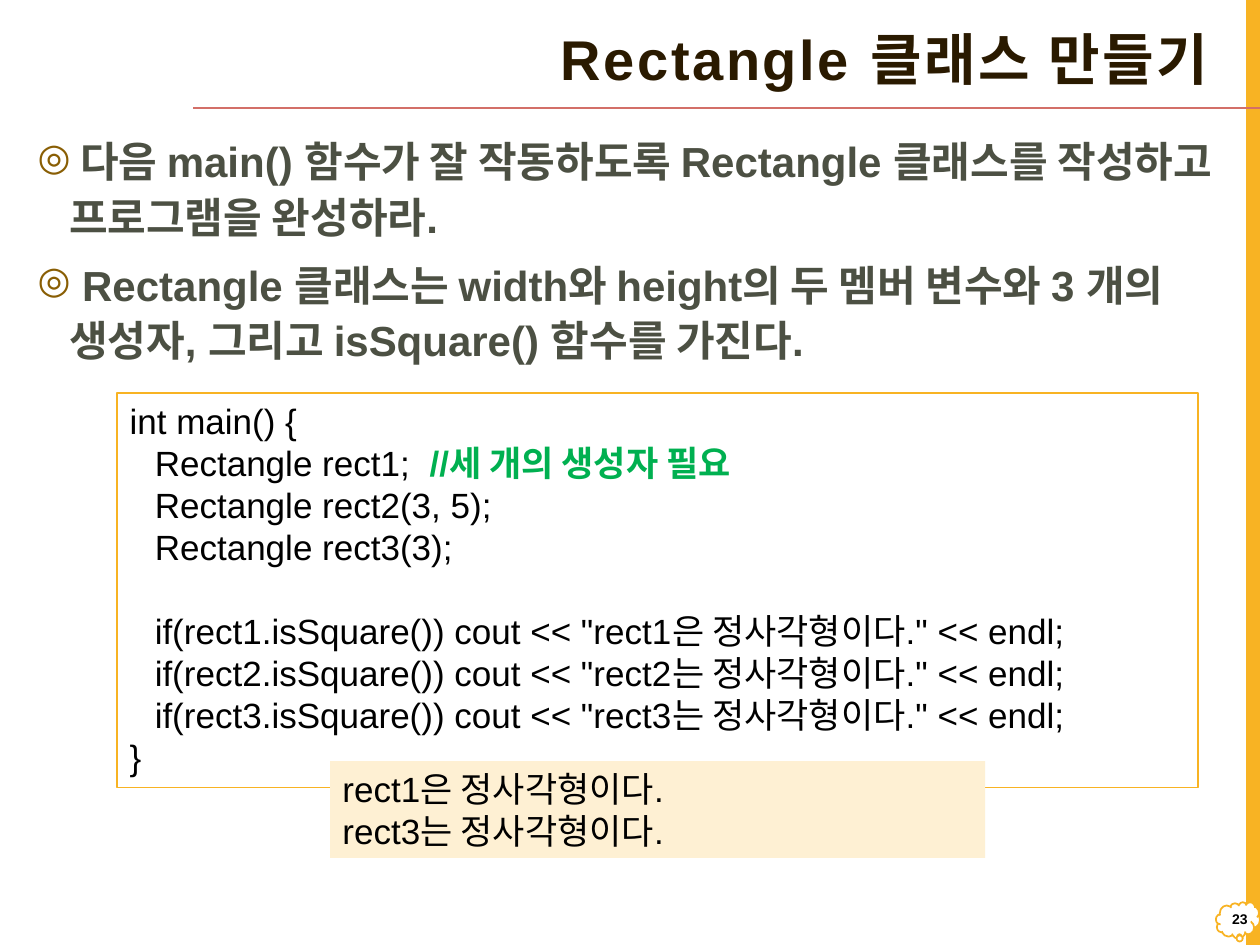
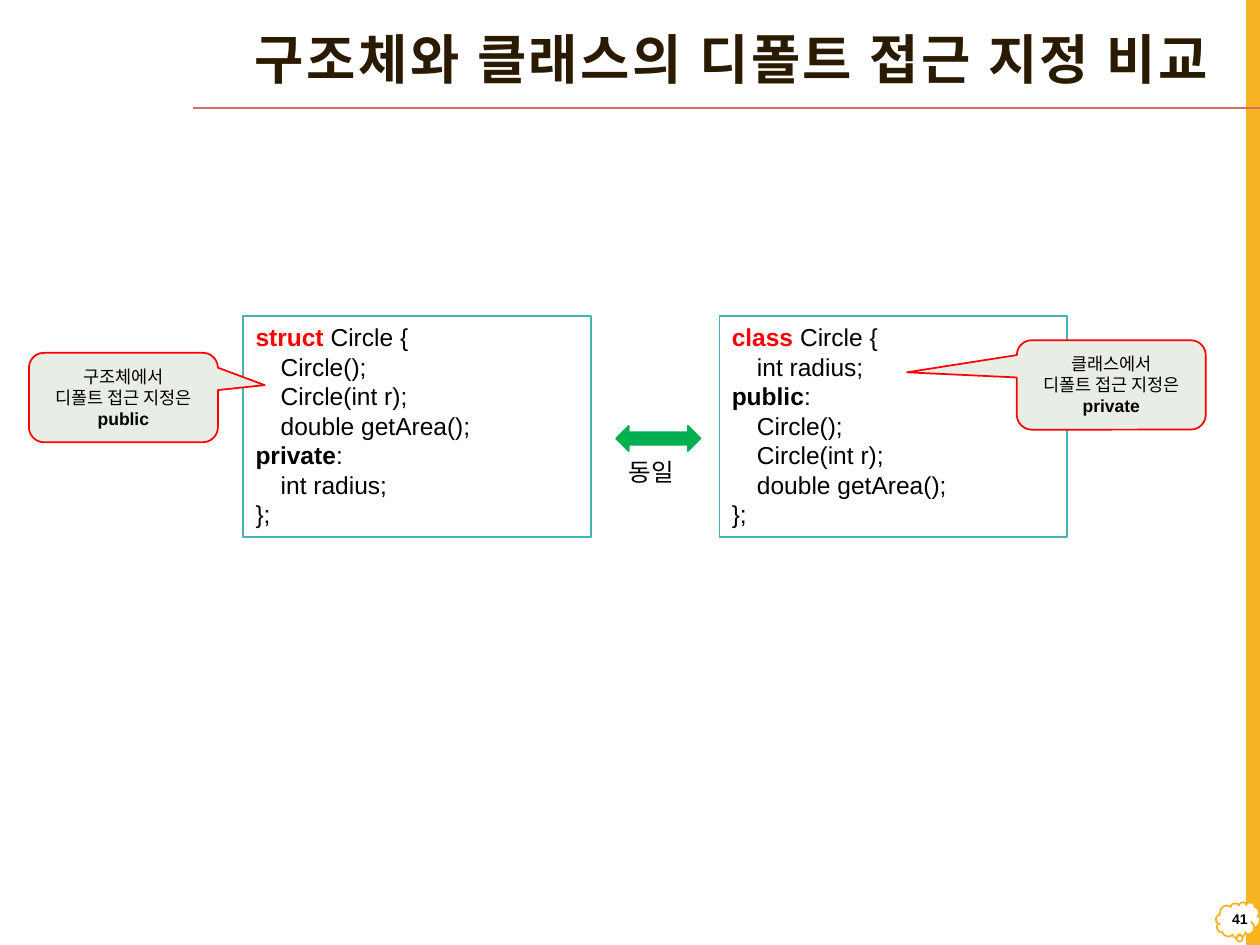
from pptx import Presentation
from pptx.dml.color import RGBColor
from pptx.enum.shapes import MSO_CONNECTOR, MSO_SHAPE
from pptx.enum.text import MSO_ANCHOR, MSO_AUTO_SIZE, PP_ALIGN
from pptx.oxml.ns import qn
from pptx.util import Inches, Pt
from lxml.etree import SubElement

BLACK = RGBColor(0x00, 0x00, 0x00)
WHITE = RGBColor(0xFF, 0xFF, 0xFF)
AMBER = RGBColor(0xF8, 0xB3, 0x23)
PALE_AMBER = RGBColor(0xFE, 0xF0, 0xD3)
ROSE = RGBColor(0xD3, 0x6F, 0x68)
TITLE_BROWN = RGBColor(0x2A, 0x1A, 0x00)
BODY_OLIVE = RGBColor(0x4C, 0x50, 0x43)
BULLET_BROWN = RGBColor(0x89, 0x5E, 0x04)
GREEN = RGBColor(0x00, 0xB0, 0x50)
TEAL = RGBColor(0x46, 0xB2, 0xB5)
RED = RGBColor(0xFF, 0x00, 0x00)
PALE_GREEN = RGBColor(0xE8, 0xEE, 0xE5)

BODY_FONT = "Arial"
CODE_INDENT = Inches(0.2)
BULLET_INDENT = Inches(0.25)


def write_paragraphs(frame, lines, size, color=BLACK, bold=False, align=PP_ALIGN.LEFT, font=BODY_FONT):
    """Write each line, a string or a list of (text, color, bold) runs; return the paragraphs."""
    for index, line in enumerate(lines):
        paragraph = frame.paragraphs[0] if index == 0 else frame.add_paragraph()
        paragraph.alignment = align
        paragraph.font.name = font
        paragraph.font.size = Pt(size)
        runs = [(line, color, bold)] if isinstance(line, str) else line
        for text, run_color, run_bold in runs:
            run = paragraph.add_run()
            run.text = text
            run.font.color.rgb = run_color
            run.font.bold = run_bold
    return frame.paragraphs


def add_filled_shape(slide, kind, box, fill, line=None, adjustments=()):
    shape = slide.shapes.add_shape(kind, *map(Inches, box))
    shape.shadow.inherit = False
    shape.fill.solid()
    shape.fill.fore_color.rgb = fill
    if line is None:
        shape.line.fill.background()
    else:
        shape.line.color.rgb = line
        shape.line.width = Pt(1)
    for index, value in enumerate(adjustments):
        shape.adjustments[index] = value
    return shape


def add_text_box(slide, box, wrap=True):
    frame = slide.shapes.add_textbox(*map(Inches, box)).text_frame
    frame.word_wrap = wrap
    return frame


def add_code_box(slide, box, lines, size, fill=WHITE, line=None):
    """Add a box of code; a line that starts with a tab is indented one level."""
    frame = add_filled_shape(slide, MSO_SHAPE.RECTANGLE, box, fill, line).text_frame
    frame.vertical_anchor = MSO_ANCHOR.TOP
    indented = [isinstance(text, str) and text.startswith("\t") or
                not isinstance(text, str) and text[0][0].startswith("\t") for text in lines]
    plain = [text.lstrip("\t") if isinstance(text, str) else
             [(part.lstrip("\t"), color, bold) for part, color, bold in text] for text in lines]
    paragraphs = write_paragraphs(frame, plain, size)
    for paragraph, is_indented in zip(paragraphs, indented):
        if is_indented:
            paragraph._p.get_or_add_pPr().set("marL", str(CODE_INDENT))
    return paragraphs


def add_callout(slide, box, pointer, subject, access):
    frame = add_filled_shape(slide, MSO_SHAPE.ROUNDED_RECTANGULAR_CALLOUT, box,
                             PALE_GREEN, RED, (*pointer, 0.167)).text_frame
    frame.word_wrap = True
    frame.vertical_anchor = MSO_ANCHOR.MIDDLE
    lines = [subject, [("디폴트 접근 지정은 ", BLACK, False), (access, BLACK, True)]]
    write_paragraphs(frame, lines, 10, align=PP_ALIGN.CENTER)


def add_bullets(slide, box, lines):
    frame = add_text_box(slide, box)
    for paragraph in write_paragraphs(frame, lines, 24, BODY_OLIVE, True):
        paragraph.line_spacing = 1.1
        paragraph.space_before = Pt(7)
        properties = paragraph._p.get_or_add_pPr()
        properties.set("marL", str(BULLET_INDENT))
        properties.set("indent", str(-BULLET_INDENT))
        bullet_color = SubElement(properties, qn("a:buClr"))
        SubElement(bullet_color, qn("a:srgbClr"), val=str(BULLET_BROWN))
        SubElement(properties, qn("a:buSzPct"), val="90000")
        SubElement(properties, qn("a:buChar"), char="◎")
        # The schema puts the default run properties after the bullet.
        properties.append(properties.find(qn("a:defRPr")))


def add_page_frame(slide, page_number):
    """Draw the side band, page cloud, title rule and page number."""
    add_filled_shape(slide, MSO_SHAPE.RECTANGLE, (9.89, 0, 0.11, 7.5), AMBER)
    add_filled_shape(slide, MSO_SHAPE.CLOUD_CALLOUT, (9.65, 7.16, 0.35, 0.29), WHITE, AMBER, (0.034, 0.431))
    rule = slide.shapes.add_connector(MSO_CONNECTOR.STRAIGHT, Inches(10), Inches(0.86), Inches(1.53), Inches(0.86))
    rule.line.color.rgb = ROSE
    rule.line.width = Pt(1)
    SubElement(rule._element.spPr, qn("a:effectLst"))
    frame = add_text_box(slide, (9.65, 7.12, 0.35, 0.35))
    frame.vertical_anchor = MSO_ANCHOR.MIDDLE
    write_paragraphs(frame, [str(page_number)], 8, bold=True, align=PP_ALIGN.RIGHT)


def add_titled_slide(presentation, title, page_number, size, font=BODY_FONT):
    slide = presentation.slides.add_slide(presentation.slide_layouts[5])
    shape = slide.shapes.title
    shape.left, shape.top, shape.width, shape.height = map(Inches, (1.32, 0.13, 8.37, 0.73))
    frame = shape.text_frame
    frame.auto_size = MSO_AUTO_SIZE.NONE
    frame.vertical_anchor = MSO_ANCHOR.MIDDLE
    paragraph = write_paragraphs(frame, [title], size, TITLE_BROWN, True, PP_ALIGN.RIGHT, font)[0]
    paragraph.line_spacing = 0.9
    paragraph.runs[0].font._element.set("spc", "150")
    add_page_frame(slide, page_number)
    return slide


def build_rectangle_slide(presentation):
    slide = add_titled_slide(presentation, "Rectangle 클래스 만들기", 23, 32)
    add_bullets(slide, (0.2, 0.99, 9.53, 6.38), [
        " 다음 main() 함수가 잘 작동하도록 Rectangle 클래스를 작성하고 프로그램을 완성하라.",
        " Rectangle 클래스는 width와 height의 두 멤버 변수와 3 개의 생성자, 그리고 isSquare() 함수를 가진다.",
    ])
    particles = {"rect1": "은", "rect2": "는", "rect3": "는"}
    checks = [f'\tif({name}.isSquare()) cout << "{name}{particle} 정사각형이다." << endl;'
              for name, particle in particles.items()]
    declarations = [
        "int main() {",
        [("\tRectangle rect1;  ", BLACK, False), ("//세 개의 생성자 필요", GREEN, True)],
        "\tRectangle rect2(3, 5);",
        "\tRectangle rect3(3);",
    ]
    paragraphs = add_code_box(slide, (0.93, 3.12, 8.58, 3.13), declarations + checks + ["}"], 20, line=AMBER)
    paragraphs[len(declarations)].space_before = Pt(24)
    output = [f"{name}{particles[name]} 정사각형이다." for name in ("rect1", "rect3")]
    add_code_box(slide, (2.62, 6.04, 5.2, 0.77), output, 20, PALE_AMBER)


def build_comparison_slide(presentation):
    slide = add_titled_slide(presentation, "구조체와 클래스의 디폴트 접근 지정 비교", 41, 30.6, "Roboto Condensed")
    functions = ["\tCircle();", "\tCircle(int r);", "\tdouble getArea();"]
    field = ["\tint radius;"]
    declarations = [
        (5.71, "class", field, "public", functions),
        (1.93, "struct", functions, "private", field),
    ]
    for left, keyword, default_members, access, other_members in declarations:
        lines = [
            [(keyword, RED, True), (" Circle {", BLACK, False)],
            *default_members,
            [(access, BLACK, True), (":", BLACK, False)],
            *other_members,
            "};",
        ]
        add_code_box(slide, (left, 2.51, 2.76, 1.75), lines, 14, line=TEAL)
    add_callout(slide, (8.07, 2.7, 1.5, 0.71), (-1.081, -0.141), "클래스에서", "private")
    add_callout(slide, (0.23, 2.8, 1.5, 0.71), (0.748, -0.138), "구조체에서", "public")
    add_filled_shape(slide, MSO_SHAPE.LEFT_RIGHT_ARROW, (4.89, 3.38, 0.67, 0.2), GREEN, GREEN)
    write_paragraphs(add_text_box(slide, (4.89, 3.58, 0.59, 0.34), wrap=False), ["동일"], 14)


def main():
    presentation = Presentation()
    presentation.slide_width = Inches(10)
    presentation.slide_height = Inches(7.5)
    build_rectangle_slide(presentation)
    build_comparison_slide(presentation)
    presentation.save("out.pptx")


if __name__ == "__main__":
    main()
